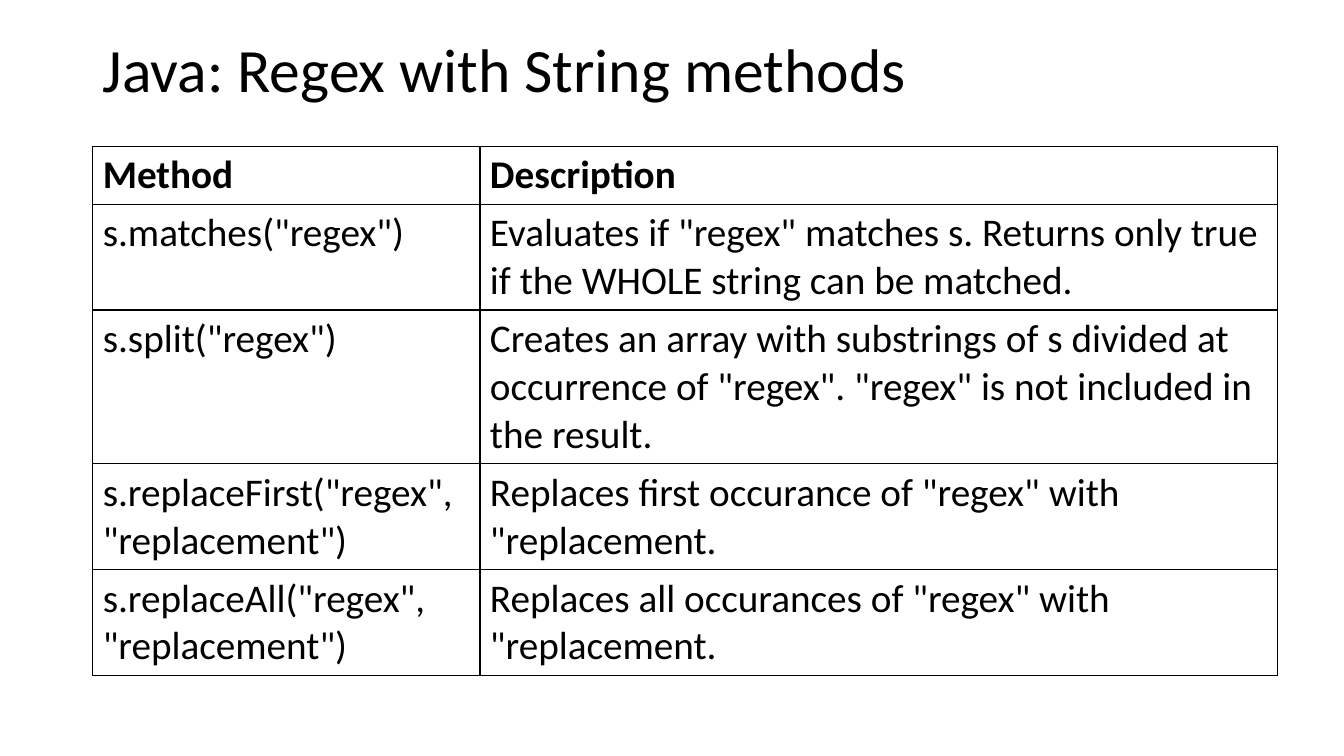
from lxml import etree
from pptx import Presentation
from pptx.dml.color import RGBColor
from pptx.enum.text import MSO_ANCHOR
from pptx.oxml.ns import qn
from pptx.util import Inches, Pt

MIDDLE = MSO_ANCHOR.MIDDLE
COLORS = {"ink": "000000"}
LEFT, TOP = 6.9, 19.33
WIDTHS = (28.81, 59.34)
LINE, PAD = 6.34, 1.33

# Text lines in the row, method, description
ROWS = [
    (1, "Method", "Description"),
    (2, 's.matches("regex")',
     'Evaluates if "regex" matches s. Returns only true if the WHOLE string can be matched.'),
    (3, 's.split("regex")',
     'Creates an array with substrings of s divided at occurrence of "regex". '
     '"regex" is not included in the result.'),
    (2, 's.replaceFirst("regex", "replacement")',
     'Replaces first occurance of "regex" with "replacement.'),
    (2, 's.replaceAll("regex", "replacement")',
     'Replaces all occurances of "regex" with "replacement.'),
]


class Deck:
    """Draws on one slide, measured on a grid of 100 columns by 100 rows."""

    font = "Calibri"

    def __init__(self):
        self.prs = Presentation()
        self.prs.slide_width, self.prs.slide_height = Inches(13.33), Inches(7.5)
        self.slide = self.prs.slides.add_slide(self.prs.slide_layouts[6])

    def col(self, n):
        return round(self.prs.slide_width * n / 100)

    def row(self, n):
        return round(self.prs.slide_height * n / 100)

    def box(self, x, y, w, h):
        return self.col(x), self.row(y), self.col(w), self.row(h)

    def text(self, frame, words, size=28, bold=False, color="ink", spacing=None):
        frame.word_wrap = True
        par = frame.paragraphs[0]
        par.line_spacing = spacing
        run = par.add_run()
        run.text = words
        run.font.name, run.font.size, run.font.bold = self.font, Pt(size), bold
        run.font.color.rgb = RGBColor.from_string(COLORS[color])

    def title(self, words, x, y, w, h):
        frame = self.slide.shapes.add_textbox(*self.box(x, y, w, h)).text_frame
        frame.vertical_anchor = MIDDLE
        self.text(frame, words, size=44, spacing=0.9)

    def border(self, cell, color="ink", width=1):
        props = cell._tc.get_or_add_tcPr()
        for spot, side in enumerate(("lnL", "lnR", "lnT", "lnB")):
            line = etree.Element(qn(f"a:{side}"), w=str(Pt(width)))
            fill = etree.SubElement(line, qn("a:solidFill"))
            etree.SubElement(fill, qn("a:srgbClr"), val=COLORS[color])
            props.insert(spot, line)

    def table(self, rows, x, y, widths):
        highs = [lines * LINE + PAD for lines, *_ in rows]
        area = self.box(x, y, sum(widths), sum(highs))
        table = self.slide.shapes.add_table(len(rows), len(widths), *area).table
        table.horz_banding = False
        for c, width in enumerate(widths):
            table.columns[c].width = self.col(width)
        for r, (_, *cells) in enumerate(rows):
            table.rows[r].height = self.row(highs[r])
            for c, words in enumerate(cells):
                cell = table.cell(r, c)
                cell.fill.background()
                self.border(cell)
                self.text(cell.text_frame, words, bold=r == 0)


def main():
    deck = Deck()
    deck.title("Java: Regex with String methods", LEFT, 0, 86.27, TOP)
    deck.table(ROWS, LEFT, TOP, WIDTHS)
    deck.prs.save("out.pptx")


if __name__ == "__main__":
    main()
